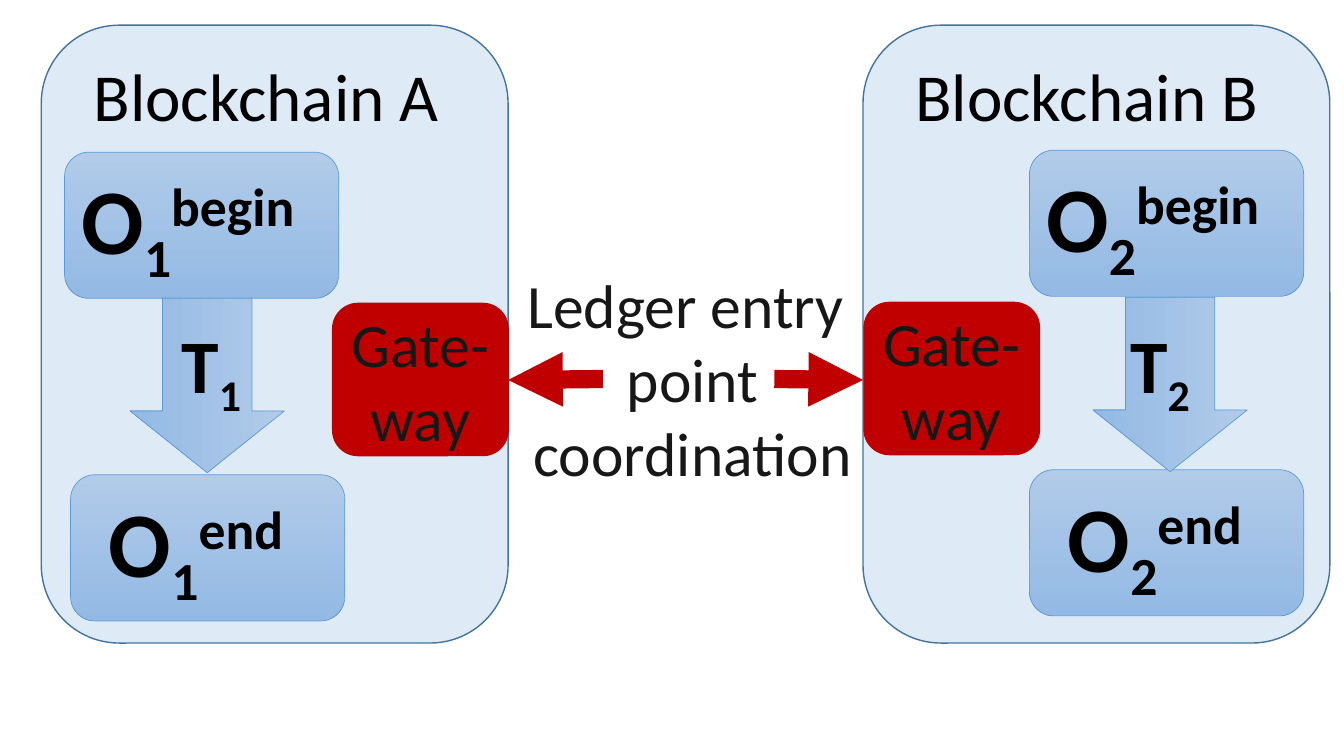
"""Build a slide of two blockchains coordinated through their gateways."""
import lxml.etree
import pptx
import pptx.dml.color
import pptx.enum.shapes
import pptx.enum.text
import pptx.oxml.ns
import pptx.util

Inches = pptx.util.Inches
Pt = pptx.util.Pt
RGBColor = pptx.dml.color.RGBColor
SHAPE = pptx.enum.shapes.MSO_SHAPE
ALIGN = pptx.enum.text.PP_ALIGN
ANCHOR = pptx.enum.text.MSO_ANCHOR
qn = pptx.oxml.ns.qn

BLACK = RGBColor(0x00, 0x00, 0x00)
INK = RGBColor(0x18, 0x17, 0x17)
PANEL = RGBColor(0xDE, 0xEB, 0xF7)
PANEL_LINE = RGBColor(0x43, 0x73, 0x9E)
STATE_LINE = RGBColor(0x5B, 0x9B, 0xD5)
STATE_TOP = RGBColor(0xB1, 0xCB, 0xE9)
STATE_BOTTOM = RGBColor(0x93, 0xB9, 0xE4)
RED = RGBColor(0xC0, 0x00, 0x00)


class Deck:
    """Hold the style and the current slide."""

    font = "Calibri"

    def __init__(self, slide):
        self.shapes = slide.shapes

    def label(self, sp, runs, size, color=BLACK, bold=False, align=ALIGN.LEFT,
              anchor=ANCHOR.TOP, inset=0.1):
        """Fill a shape with one paragraph of (text, baseline) runs."""
        tf = sp.text_frame
        frame = {"word_wrap": True, "vertical_anchor": anchor, "margin_left": Inches(inset)}
        for name, value in frame.items():
            setattr(tf, name, value)
        p = tf.paragraphs[0]
        p.alignment = align
        style = {"name": self.font, "size": Pt(size), "bold": bold}
        for text, baseline in runs:
            for i, line in enumerate(text.split("\n")):
                if i:
                    p.add_line_break()
                r = p.add_run()
                r.text = line
                for name, value in style.items():
                    setattr(r.font, name, value)
                r.font.color.rgb = color
                if baseline:
                    r._r.get_or_add_rPr().set("baseline", str(baseline * 1000))

    def shape(self, kind, box, fill, line, width):
        """Add a preset shape with a plain fill, or a gradient for a pair."""
        sp = self.shapes.add_shape(kind, *map(Inches, box))
        sp.shadow.inherit = False
        if isinstance(fill, list):
            sp.fill.gradient()
            sp.fill.gradient_angle = 270
            for stop, color in zip(sp.fill.gradient_stops, fill):
                stop.color.rgb = color
        else:
            sp.fill.solid()
            sp.fill.fore_color.rgb = fill
        sp.line.color.rgb = line
        sp.line.width = Pt(width)
        return sp

    def panel(self, box):
        self.shape(SHAPE.ROUNDED_RECTANGLE, box, PANEL, PANEL_LINE, 1)

    def state(self, left, top, number, name, inset):
        sp = self.shape(SHAPE.ROUNDED_RECTANGLE, (left, top, 2.72, 1.45),
                        [STATE_TOP, STATE_BOTTOM], STATE_LINE, 0.5)
        self.label(sp, [("O", 0), (number, -25), (name, 30)], 66, bold=True,
                   anchor=ANCHOR.MIDDLE, inset=inset)

    def transition(self, left, top):
        sp = self.shape(SHAPE.RIGHT_ARROW, (left, top, 1.73, 1.53),
                        [STATE_TOP, STATE_BOTTOM], STATE_LINE, 0.5)
        sp.rotation = 90
        sp.adjustments[0], sp.adjustments[1] = 0.58, 0.4

    def gateway(self, left, top):
        sp = self.shape(SHAPE.ROUNDED_RECTANGLE, (left, top, 1.74, 1.51), RED, RED, 1)
        self.label(sp, [("Gate-way", 0)], 44, INK, align=ALIGN.CENTER, anchor=ANCHOR.MIDDLE)

    def text(self, box, runs, size, **style):
        sp = self.shapes.add_textbox(*map(Inches, box))
        self.label(sp, runs, size, **style)
        return sp

    def arrow(self, start, end):
        sp = self.shapes.add_connector(pptx.enum.shapes.MSO_CONNECTOR.STRAIGHT,
                                       *map(Inches, start + end))
        sp.line.color.rgb = RED
        sp.line.width = Pt(13)
        spPr = sp._element.spPr
        lxml.etree.SubElement(spPr.get_or_add_ln(), qn("a:tailEnd"), type="triangle")
        lxml.etree.SubElement(spPr, qn("a:effectLst"))


prs = pptx.Presentation()
prs.slide_width, prs.slide_height = Inches(13.33), Inches(7.5)
deck = Deck(prs.slides.add_slide(prs.slide_layouts[6]))

chains = [
    {"name": "A", "number": "1", "left": 0.41, "begin": (0.64, 1.51), "end": (0.7, 4.71),
     "arrow": (1.19, 3.06), "label": 1.7, "gateway": (3.3, 3.01)},
    {"name": "B", "number": "2", "left": 8.56, "begin": (10.21, 1.49), "end": (10.21, 4.66),
     "arrow": (10.74, 3.05), "label": 11.11, "gateway": (8.57, 3)},
]
for chain in chains:
    number = chain["number"]
    deck.panel((chain["left"], 0.25, 4.63, 6.13))
    deck.text((chain["left"] + 0.42, 0.49, 4.12, 0.91),
              [("Blockchain " + chain["name"], 0)], 48)
    deck.state(*chain["begin"], number, "begin", 0.1)
    deck.state(*chain["end"], number, "end", 0.31)
    deck.transition(*chain["arrow"])
    deck.text((chain["label"], 3.1, 1.02, 2.02), [("T", 0), (number, -25)], 54, bold=True)

sp = deck.text((4.47, 2.6, 4.8, 2.32), [("Ledger entry \npoint coordination", 0)], 44,
               color=INK, align=ALIGN.CENTER, inset=0.2)
sp.text_frame.margin_right = Inches(0.2)
deck.arrow((5.98, 3.76), (5.04, 3.77))
deck.arrow((7.68, 3.76), (8.56, 3.77))
for chain in chains:
    deck.gateway(*chain["gateway"])

prs.save("out.pptx")
